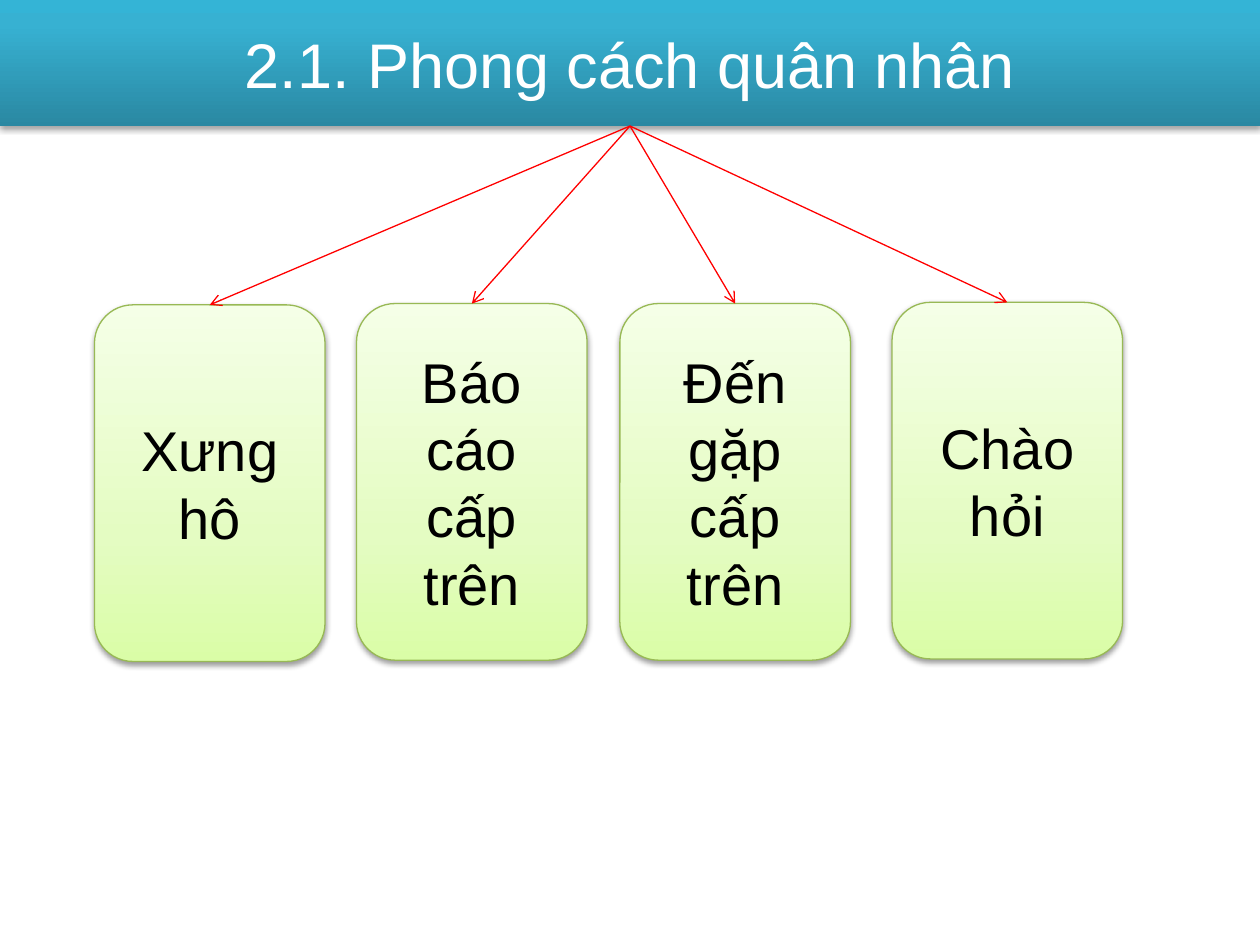
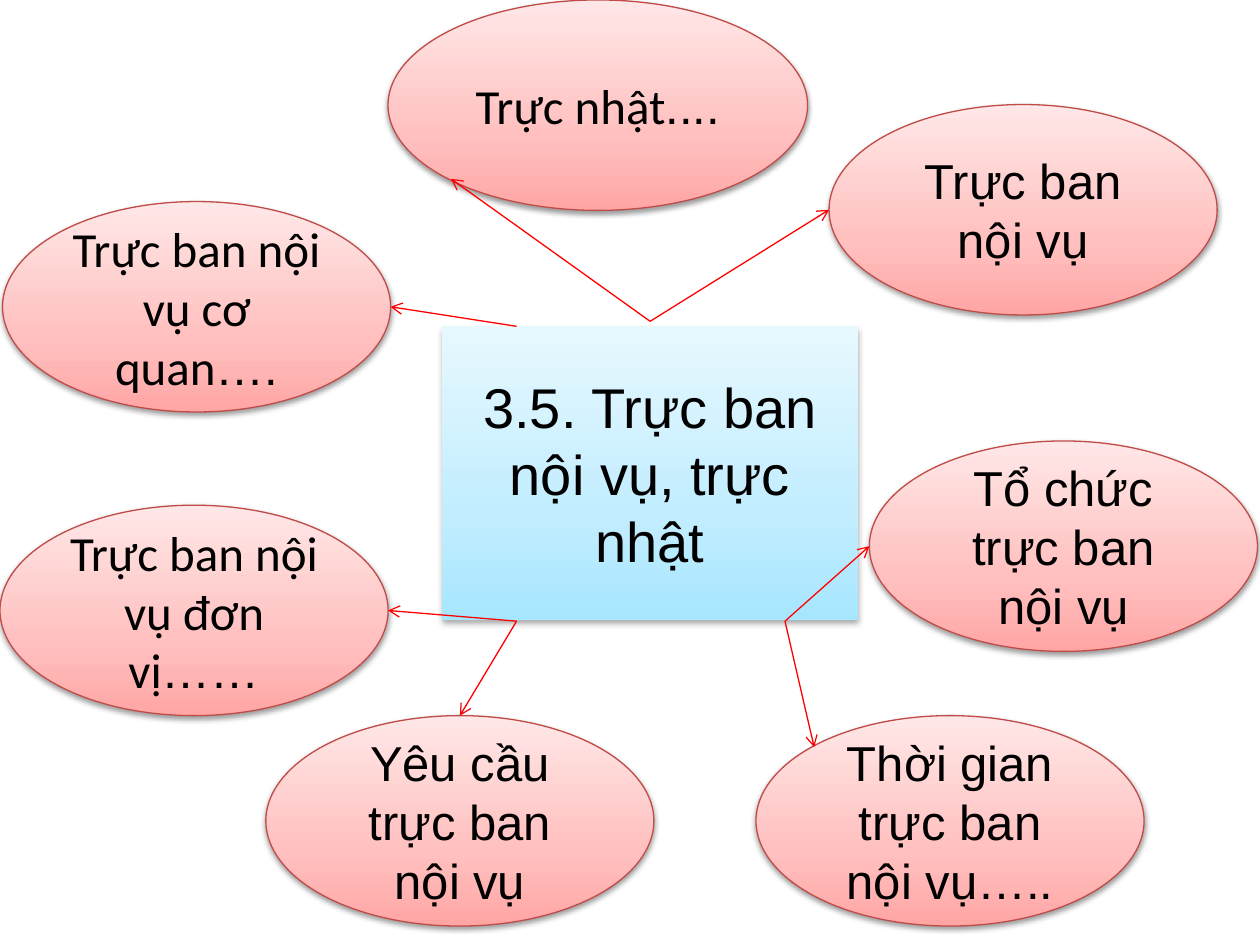
from pptx import Presentation
from pptx.dml.color import RGBColor
from pptx.enum.shapes import MSO_CONNECTOR, MSO_SHAPE
from pptx.enum.text import MSO_ANCHOR, MSO_AUTO_SIZE, PP_ALIGN
from pptx.oxml import parse_xml
from pptx.oxml.ns import nsdecls, qn
from pptx.util import Inches, Pt

BLACK, WHITE, RED = "000000", "FFFFFF", "FF0000"
TEAL = [(0, "2A88A2"), (80, "37B1D2"), (100, "34B4D6")]
GREEN = [(0, "DAFDA7"), (35, "E4FCC2"), (100, "F5FFE7")]
BLUE = [(0, "A7E6FF"), (35, "C1EDFF"), (100, "E7F8FF")]
PINK = [(0, "FFA6A5"), (35, "FFC0BF"), (100, "FFE7E7")]
CARD_SHADOW = (38, 3.1, 1.6)


def dress(shape, text, size, color, stops, shadow, edge=None, dots=""):
    """Fill, outline, shade and label a shape; trailing dots are always Arial."""
    shape.fill.gradient()
    shape.fill.gradient_angle = 90
    stop_list = shape.element.spPr.find(qn("a:gradFill")).find(qn("a:gsLst"))
    stop_list.clear()
    for position, stop_color in stops:
        stop_list.append(parse_xml(
            f'<a:gs {nsdecls("a")} pos="{position * 1000}"><a:srgbClr val="{stop_color}"/></a:gs>'))
    if edge:
        shape.line.color.rgb = RGBColor.from_string(edge)
        shape.line.width = Pt(0.75)
    else:
        shape.line.fill.background()
    opacity, blur, distance = shadow
    shape.element.spPr.append(parse_xml(
        f'<a:effectLst {nsdecls("a")}><a:outerShdw blurRad="{Pt(blur)}" dist="{Pt(distance)}" '
        f'dir="5400000" rotWithShape="0"><a:srgbClr val="{BLACK}">'
        f'<a:alpha val="{opacity * 1000}"/></a:srgbClr></a:outerShdw></a:effectLst>'))

    frame = shape.text_frame
    frame.word_wrap = True
    frame.auto_size = MSO_AUTO_SIZE.NONE
    frame.vertical_anchor = MSO_ANCHOR.MIDDLE
    paragraph = frame.paragraphs[0]
    paragraph.alignment = PP_ALIGN.CENTER
    paragraph.font.size = Pt(size)
    paragraph.font.color.rgb = RGBColor.from_string(color)
    if dots:
        for part, font_name in ((text, "Calibri"), (dots, "Arial")):
            run = paragraph.add_run()
            run.text = part
            run.font.name = font_name
    else:
        paragraph.add_run().text = text
        paragraph.font.name = "Arial"


def add_arrow(slide, start, end):
    arrow = slide.shapes.add_connector(
        MSO_CONNECTOR.STRAIGHT, *(Inches(value) for value in (*start, *end)))
    arrow.line.color.rgb = RGBColor.from_string(RED)
    arrow.line.width = Pt(0.75)
    properties = arrow.element.spPr
    properties.find(qn("a:ln")).append(parse_xml(f'<a:tailEnd {nsdecls("a")} type="arrow"/>'))
    properties.append(parse_xml(f'<a:effectLst {nsdecls("a")}/>'))


prs = Presentation()
prs.slide_width, prs.slide_height = Inches(10), Inches(7.5)

# Both titles are placeholders with a preset outline
headings = [
    ("2.1. Phong cách quân nhân", (0, 0, 10, 1), "roundRect", 36, WHITE, TEAL, (35, 3.1, 1.8)),
    ("3.5. Trực ban nội vụ, trực nhật", (3.51, 2.59, 3.3, 2.33), "hexagon", 32, BLACK, BLUE,
     (32, 3.5, 2.2)),
]
for text, box, outline, size, color, stops, shadow in headings:
    title = prs.slides.add_slide(prs.slide_layouts[5]).shapes.title
    title.left, title.top, title.width, title.height = (Inches(value) for value in box)
    title.element.spPr.append(parse_xml(
        f'<a:prstGeom {nsdecls("a")} prst="{outline}"><a:avLst/></a:prstGeom>'))
    dress(title, text, size, color, stops, shadow)
style_slide, duty_slide = prs.slides

# Slide 1: four aspects below the title band
CARD_WIDTH, CARD_HEIGHT = 1.83, 2.83
aspects = [
    ("Xưng hô", 0.75, 2.42),
    ("Báo cáo cấp trên", 2.83, 2.41),
    ("Đến gặp cấp trên", 4.92, 2.41),
    ("Chào hỏi", 7.08, 2.4),
]
for text, left, top in aspects:
    card = style_slide.shapes.add_shape(
        MSO_SHAPE.ROUNDED_RECTANGLE,
        Inches(left), Inches(top), Inches(CARD_WIDTH), Inches(CARD_HEIGHT))
    dress(card, text, 32, BLACK, GREEN, CARD_SHADOW, edge="98B955")
for _, left, top in aspects:
    add_arrow(style_slide, (5, 1), (left + CARD_WIDTH / 2, top))

# Slide 2: duties around the hexagon; an arrow runs from a hexagon point
# to a spot on the ellipse, given as fractions of its width and height
DUTY_HEIGHT = 1.67
TOP_MIDDLE, TOP_LEFT = (4.1, 2.59), (5.16, 2.55)
ABOVE, UPPER_LEFT = (5.16, 2.55), (4.1, 2.59)
LOWER_LEFT, LOWER_RIGHT = (4.1, 4.93), (6.23, 4.93)
duties = [
    ("Trực ban nội vụ", "", (6.58, 0.83), 3.08, ABOVE, (0, 0.5)),
    ("Tổ chức trực ban nội vụ", "", (6.9, 3.5), 3.08, LOWER_RIGHT, (0, 0.5)),
    ("Thời gian trực ban nội vụ…..", "", (6, 5.68), 3.08, LOWER_RIGHT, (0.15, 0.15)),
    ("Yêu cầu trực ban nội vụ", "", (2.11, 5.68), 3.08, LOWER_LEFT, (0.5, 0)),
    ("Trực ban nội vụ đơn vị", "……", (0, 4.01), 3.08, LOWER_LEFT, (1, 0.5)),
    ("Trực ban nội vụ cơ quan", "….", (0.02, 1.6), 3.08, UPPER_LEFT, (1, 0.5)),
    ("Trực nhật", "....", (3.08, 0), 3.33, ABOVE, (0.15, 0.85)),
]
for text, dots, (left, top), width, _, _ in duties:
    duty = duty_slide.shapes.add_shape(
        MSO_SHAPE.OVAL, Inches(left), Inches(top), Inches(width), Inches(DUTY_HEIGHT))
    dress(duty, text, 28, BLACK, PINK, CARD_SHADOW, edge="BF4C48", dots=dots)
for _, _, (left, top), width, start, (across, down) in duties:
    add_arrow(duty_slide, start, (left + across * width, top + down * DUTY_HEIGHT))

prs.save("out.pptx")
